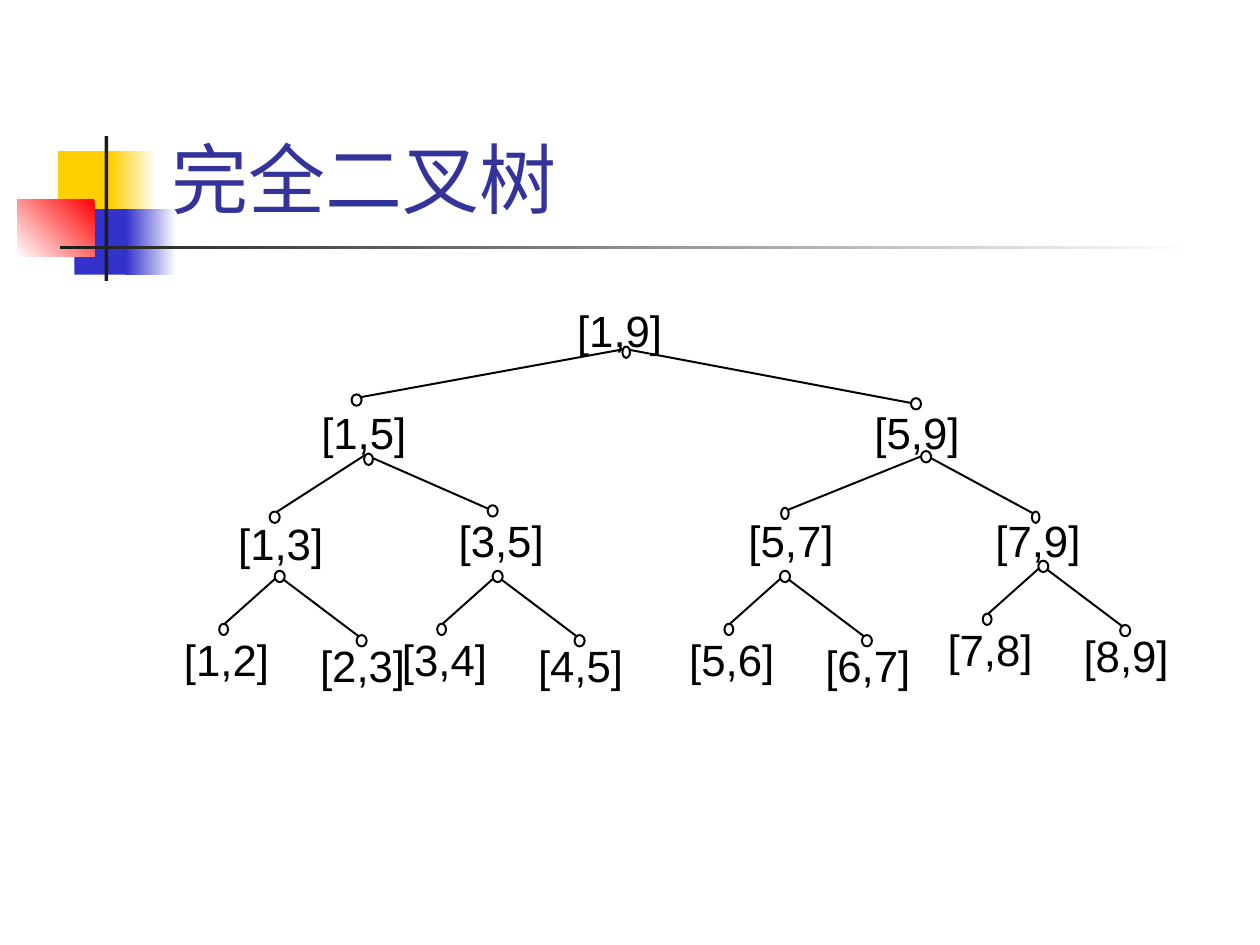
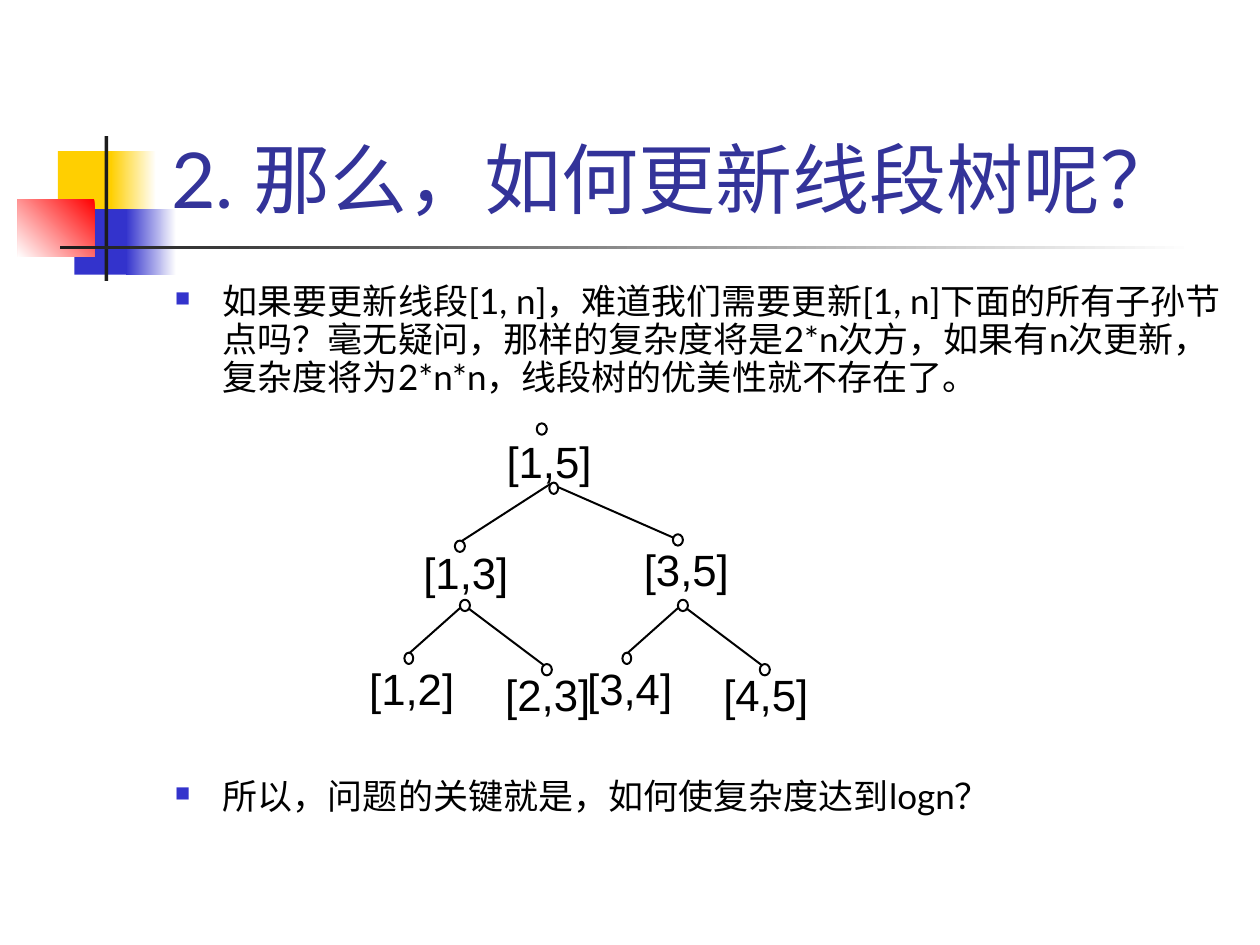
from lxml import etree
from pptx import Presentation
from pptx import util as u
from pptx.dml.color import RGBColor
from pptx.enum import shapes, text
from pptx.oxml.ns import qn

deck = Presentation()
deck.slide_width = u.Inches(10)
deck.slide_height = u.Inches(7.5)
cell = deck.slide_width // 10

INK, LINE, WHITE = "000000", "010101", "FFFFFF"
BLUE, TITLE_BLUE, DARK = "3333CC", "333399", "1C1C1C"


def paint(fill, *colours, angle=180):
    if len(colours) == 1:
        fill.solid()
        fill.fore_color.rgb = RGBColor.from_string(colours[0])
        return
    fill.gradient()
    fill.gradient_angle = angle
    for stop, colour in zip(fill.gradient_stops, colours):
        stop.color.rgb = RGBColor.from_string(colour)


def put_text(page, lines, at, size, font="Lato", colour=INK, wrap=True, margins=(0.1, 0.05),
             anchor=text.MSO_ANCHOR.TOP, spacing=None, gap=0, bullet=None):
    box = page.shapes.add_textbox(*[int(v * cell) for v in at])
    frame = box.text_frame
    frame.word_wrap = wrap
    frame.vertical_anchor = anchor
    frame.margin_left = frame.margin_right = u.Inches(margins[0])
    frame.margin_top = frame.margin_bottom = u.Inches(margins[1])
    for i, line in enumerate(lines):
        para = frame.paragraphs[0] if i == 0 else frame.add_paragraph()
        if spacing:
            para.line_spacing = spacing
        if i:
            para.space_before = u.Pt(gap)
        if bullet:
            props = para._p.get_or_add_pPr()
            props.set("marL", str(u.Inches(0.38)))
            props.set("indent", str(-u.Inches(0.38)))
            tint = etree.SubElement(props, qn("a:buClr"))
            etree.SubElement(tint, qn("a:srgbClr"), val=BLUE)
            etree.SubElement(props, qn("a:buSzPct"), val="60000")
            etree.SubElement(props, qn("a:buChar"), char=bullet)
        span = para.add_run()
        span.text = line
        span.font.size = u.Pt(size)
        span.font.name = font
        span.font.color.rgb = RGBColor.from_string(colour)


ornaments = [
    ((0.46, 1.2, 0.48, 0.52), ("FFCF01",), 0),
    ((0.88, 1.2, 0.36, 0.52), (WHITE, "FFCF01"), 180),
    ((0.59, 1.66, 0.46, 0.52), (BLUE,), 0),
    ((1, 1.66, 0.4, 0.52), (WHITE, BLUE), 180),
    ((0.14, 1.58, 0.61, 0.46), ("FF0000", WHITE), 225),
    ((0.83, 1.08, 0.03, 1.15), (DARK,), 0),
    ((0.48, 1.95, 9, 0.03), (WHITE, DARK), 180),
]

root = {
    "branches": [(4.96, 2.77, 2.82, 3.16), (4.96, 2.77, 7.24, 3.2)],
    "dots": [(4.94, 2.75, 0.06), (7.23, 3.16, 0.08)],
    "labels": [("[1,9]", 4.58, 2.41)],
}
left_half = {
    "branches": [(2.9, 3.61, 2.17, 4.08), (2.9, 3.61, 3.88, 4.04)],
    "dots": [(2.79, 3.13, 0.08), (2.89, 3.6, 0.07), (2.14, 4.06, 0.08), (3.87, 4.01, 0.08)],
    "labels": [("[1,5]", 2.55, 3.22), ("[1,3]", 1.89, 4.1), ("[3,5]", 3.64, 4.08)],
}
right_half = {
    "branches": [(7.34, 3.61, 6.22, 4.06), (7.34, 3.61, 8.21, 4.08)],
    "dots": [(7.31, 3.58, 0.08), (6.2, 4.03, 0.06), (8.19, 4.06, 0.06)],
    "labels": [("[5,9]", 6.94, 3.22), ("[5,7]", 5.94, 4.08), ("[7,9]", 7.9, 4.08)],
}

leaf_forks = [(left_half, 1, 2.21, 4.57), (left_half, 3, 3.94, 4.57),
              (right_half, 5, 6.22, 4.57), (right_half, 7, 8.27, 4.49)]
for half, first, x, y in leaf_forks:
    half["branches"] += [(x, y, x - 0.46, y + 0.41), (x, y, x + 0.65, y + 0.49)]
    half["dots"] += [(x - 0.03, y - 0.04, 0.08), (x - 0.47, y + 0.38, 0.07),
                     (x + 0.62, y + 0.47, 0.08)]
    half["labels"] += [(f"[{first},{first + 1}]", x - 0.75, y + 0.45),
                       (f"[{first + 1},{first + 2}]", x + 0.33, y + 0.5)]

points = [
    "如果要更新线段[1, n]，难道我们需要更新[1, n]下面的所有子孙节点吗？毫无疑问，那样的复杂度将是2*n次方，"
    "如果有n次更新，复杂度将为2*n*n，线段树的优美性就不存在了。",
    "所以，问题的关键就是，如何使复杂度达到logn？",
]
slides = [
    ("完全二叉树", [], [root, left_half, right_half], 0, 0),
    ("2. 那么，如何更新线段树呢？", points, [left_half], 1.47, 0.23),
]

for title, body, parts, dx, dy in slides:
    page = deck.slides.add_slide(deck.slide_layouts[6])
    for at, colours, angle in ornaments:
        shape = page.shapes.add_shape(shapes.MSO_SHAPE.RECTANGLE, *[int(v * cell) for v in at])
        shape.shadow.inherit = False
        shape.line.fill.background()
        paint(shape.fill, *colours, angle=angle)
    put_text(page, [title], (1.26, 0.23, 8.52, 1.6), 44, colour=TITLE_BLUE,
             anchor=text.MSO_ANCHOR.BOTTOM)
    if body:
        put_text(page, body, (1.29, 2.21, 8.5, 4.5), 20, spacing=0.9, gap=218, bullet="■")

    for part in parts:
        for x1, y1, x2, y2 in part["branches"]:
            ends = [int(v * cell) for v in (x1 + dx, y1 + dy, x2 + dx, y2 + dy)]
            branch = page.shapes.add_connector(shapes.MSO_CONNECTOR.STRAIGHT, *ends)
            paint(branch.line.fill, LINE)
            branch.line.width = u.Pt(1.13)
            etree.SubElement(branch._element.spPr, qn("a:effectLst"))
    for part in parts:
        for x, y, width in part["dots"]:
            at = [int(v * cell) for v in (x + dx, y + dy, width, 0.09)]
            dot = page.shapes.add_shape(shapes.MSO_SHAPE.OVAL, *at)
            dot.shadow.inherit = False
            paint(dot.fill, WHITE)
            paint(dot.line.fill, LINE)
            dot.line.width = u.Pt(1.13)
        for label, x, y in part["labels"]:
            put_text(page, [label], (x + dx, y + dy, 0.68, 0.42), 25, font="Arial",
                     wrap=False, margins=(0, 0))

deck.save("out.pptx")
